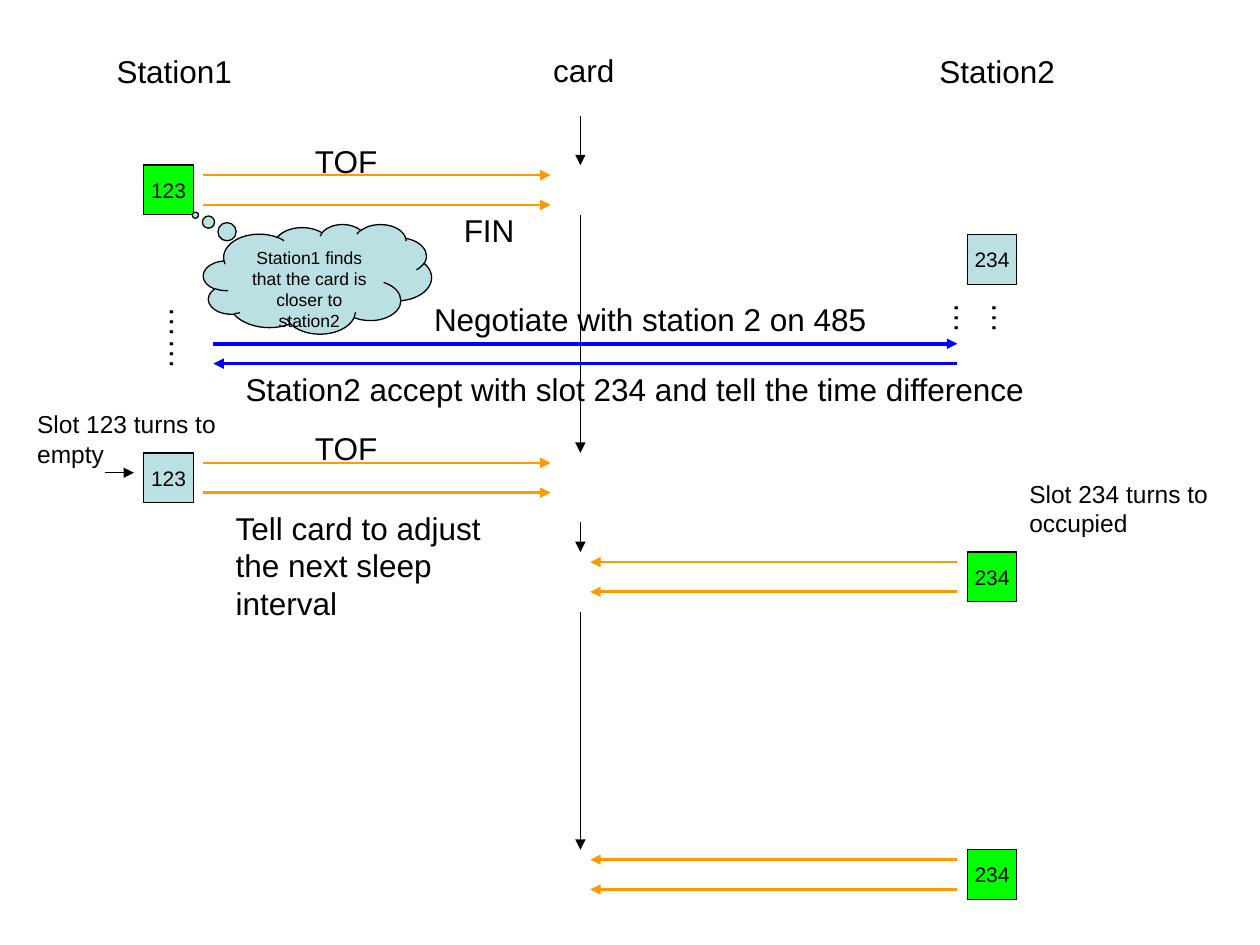
"""Build the sequence slide of a card handed over from station 1 to station 2."""
from lxml.etree import SubElement
from pptx import Presentation
from pptx.dml.color import RGBColor
from pptx.enum.shapes import MSO_CONNECTOR, MSO_SHAPE
from pptx.enum.text import MSO_ANCHOR as Anchor, MSO_AUTO_SIZE as AutoSize, PP_ALIGN as Align
from pptx.oxml.ns import qn
from pptx.util import Cm, Pt

BLACK = RGBColor(0x00, 0x00, 0x00)
GREEN = RGBColor(0x00, 0xFF, 0x00)
PALE = RGBColor(0xBB, 0xE0, 0xE3)
ORANGE = RGBColor(0xFF, 0x99, 0x00)
BLUE = RGBColor(0x00, 0x00, 0xFF)

CARD_X = 11.7
LEFT_CELL, RIGHT_CELL, CELL = 2.9, 19.5, 1

deck = Presentation()
deck.slide_width, deck.slide_height = Cm(25.4), Cm(19.05)
page = deck.slides.add_slide(deck.slide_layouts[6])


def write(shape, text, size=18, wrap=False, align=Align.LEFT, anchor=Anchor.TOP, fit=AutoSize.NONE):
    frame = shape.text_frame
    frame.text = text
    frame.word_wrap, frame.auto_size, frame.vertical_anchor = wrap, fit, anchor
    for para in frame.paragraphs:
        para.alignment = align
        for span in para.runs:
            span.font.name, span.font.size = "Arial", Pt(size)
            span.font.color.rgb = BLACK


def arrow(start_x, start_y, end_x, end_y, color=BLACK, width=0.75):
    line = page.shapes.add_connector(
        MSO_CONNECTOR.STRAIGHT, Cm(start_x), Cm(start_y), Cm(end_x), Cm(end_y))
    line.line.color.rgb, line.line.width = color, Pt(width)
    SubElement(line.line._get_or_add_ln(), qn("a:tailEnd"), type="triangle")
    SubElement(line._element.spPr, qn("a:effectLst"))


for top, bottom in [(2.33, 3.33), (4.33, 9.13), (10.53, 11.13), (12.33, 17.13)]:
    arrow(CARD_X, top, CARD_X, bottom)

for start, end, tops in [(4.1, 11.1, (3.33, 9.13)), (19.3, 11.9, (11.13, 17.13))]:
    for top in tops:
        for offset in (0.2, 0.8):
            arrow(start, top + offset, end, top + offset, ORANGE, 1.5)

arrow(4.3, 6.93, 19.3, 6.93, BLUE, 2)
arrow(19.3, 7.33, 4.3, 7.33, BLUE, 2)
arrow(2.11, 9.53, 2.7, 9.53)

outlined = [
    (MSO_SHAPE.RECTANGLE, LEFT_CELL, 3.33, CELL, CELL, GREEN, "123"),
    (MSO_SHAPE.RECTANGLE, LEFT_CELL, 9.13, CELL, CELL, PALE, "123"),
    (MSO_SHAPE.RECTANGLE, RIGHT_CELL, 4.73, CELL, CELL, PALE, "234"),
    (MSO_SHAPE.RECTANGLE, RIGHT_CELL, 11.13, CELL, CELL, GREEN, "234"),
    (MSO_SHAPE.RECTANGLE, RIGHT_CELL, 17.13, CELL, CELL, GREEN, "234"),
    (MSO_SHAPE.CLOUD_CALLOUT, 4.1, 4.52, 4.6, 2.21, PALE,
     "Station1 finds that the card is closer to station2"),
]
for kind, left, top, width, height, color, text in outlined:
    shape = page.shapes.add_shape(kind, Cm(left), Cm(top), Cm(width), Cm(height))
    shape.shadow.inherit = False
    shape.fill.solid()
    shape.fill.fore_color.rgb = color
    shape.line.color.rgb, shape.line.width = BLACK, Pt(0.75)
    if kind == MSO_SHAPE.CLOUD_CALLOUT:
        shape.adjustments[0], shape.adjustments[1] = -0.535, -0.582
        write(shape, text, size=10, wrap=True, align=Align.CENTER)
    else:
        write(shape, text, size=12, align=Align.CENTER, anchor=Anchor.MIDDLE)

labels = [
    ("Station1", 2.1, 0.93, 2.9, 1.02, {}),
    ("card", 10.9, 0.91, 1.75, 1.02, {"wrap": True}),
    ("Station2", 18.69, 0.93, 2.9, 1.02, {}),
    ("TOF", 6.1, 2.73, 1.8, 1.02, {}),
    ("TOF", 6.1, 8.53, 1.8, 1.02, {}),
    ("FIN", 9.1, 4.13, 1.6, 1.02, {}),
    ("Negotiate with station 2 on 485", 8.5, 5.93, 9.25, 1.02, {}),
    ("Station2 accept with slot 234 and tell the time difference", 4.7, 7.33, 16.25, 1.02, {}),
    ("Slot 123 turns to\nempty", 0.5, 8.13, 4.15, 1.45, {"size": 14}),
    ("Slot 234 turns to\noccupied", 20.5, 9.53, 4.15, 1.45, {"size": 14}),
    ("Tell card to adjust the next sleep interval", 4.5, 10.13, 5.8, 2.54, {"wrap": True}),
]
for text, left, top, width, height, style in labels:
    box = page.shapes.add_textbox(Cm(left), Cm(top), Cm(width), Cm(height))
    write(box, text, fit=AutoSize.SHAPE_TO_FIT_TEXT, **style)

for left, top, height, wrap in [(2.92, 5.93, 1.52, False), (RIGHT_CELL, 5.84, 1.68, True)]:
    box = page.shapes.add_textbox(Cm(left), Cm(top), Cm(1.27), Cm(height))
    write(box, "……", wrap=wrap, align=Align.CENTER, fit=AutoSize.SHAPE_TO_FIT_TEXT)
    frame = box.text_frame
    frame.margin_left = frame.margin_right = Cm(0.13)
    frame.margin_top = frame.margin_bottom = Cm(0.25)
    frame._txBody.bodyPr.set("vert", "eaVert")

deck.save("out.pptx")
